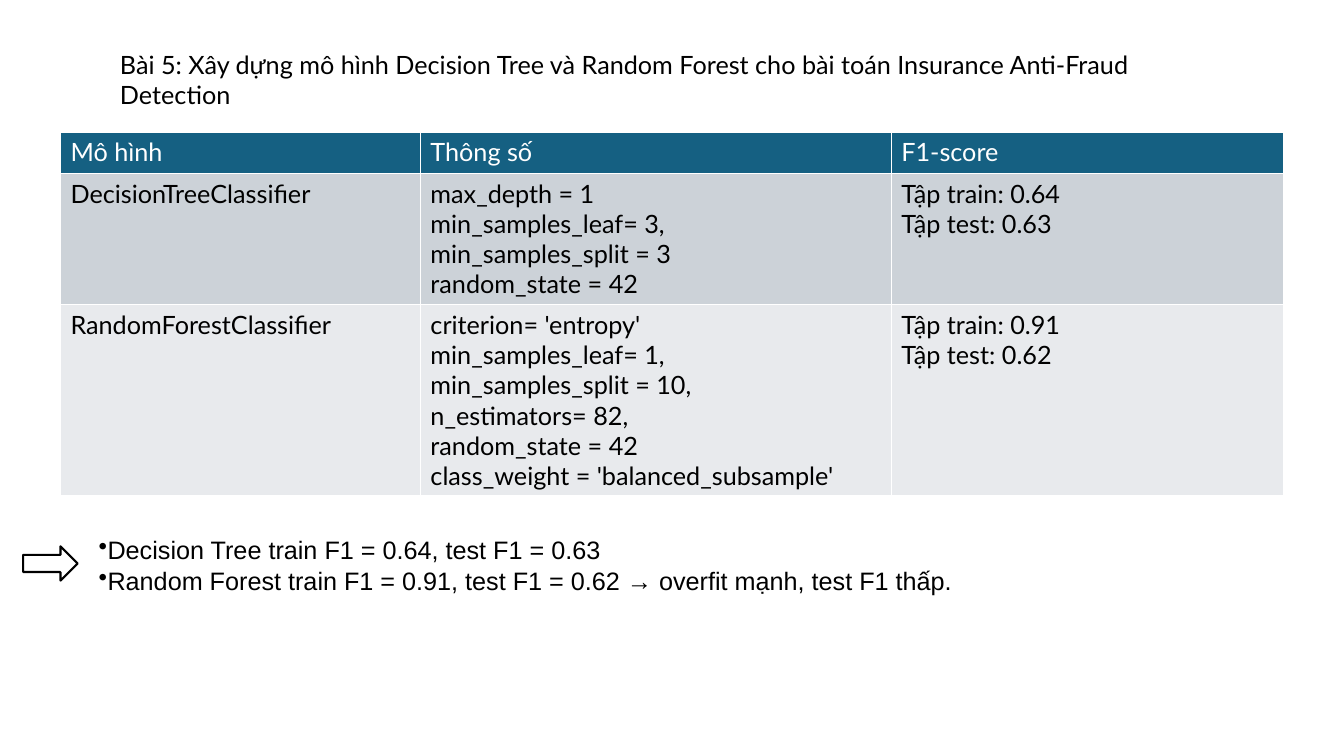
"""Build a slide comparing Decision Tree and Random Forest F1 scores."""
import pptx
import pptx.dml.color
import pptx.enum.shapes
import pptx.enum.text
import pptx.oxml.ns
import pptx.util
from lxml import etree

Inches = pptx.util.Inches
COLORS = {"text": "000000", "white": "FFFFFF", "header": "156082",
          "tree": "CCD2D8", "forest": "E8EAED"}


def rgb(name):
    return pptx.dml.color.RGBColor.from_string(COLORS[name])


def style_text(tf, font, color):
    for p in tf.paragraphs:
        p.alignment = pptx.enum.text.PP_ALIGN.LEFT
        p.font.name = font
        p.font.size = pptx.util.Pt(18)
        p.font.bold = False
        p.font.color.rgb = rgb(color)


prs = pptx.Presentation()
prs.slide_width, prs.slide_height = Inches(13.33), Inches(7.5)
s = prs.slides.add_slide(prs.slide_layouts[5])

title = s.shapes.title
title.left, title.top = Inches(1.09), Inches(0.44)
title.width, title.height = Inches(11.15), Inches(0.7)
tf = title.text_frame
tf.text = ("Bài 5: Xây dựng mô hình Decision Tree và Random Forest "
           "cho bài toán Insurance Anti-Fraud Detection")
tf.word_wrap = True
tf.auto_size = pptx.enum.text.MSO_AUTO_SIZE.NONE
tf.vertical_anchor = pptx.enum.text.MSO_ANCHOR.TOP
style_text(tf, "Lato", "text")

rows = [
    (0.41, "header", "white", ["Mô hình", "Thông số", "F1-score"]),
    (1.3, "tree", "text", [
        "DecisionTreeClassifier",
        "max_depth = 1\nmin_samples_leaf= 3,\nmin_samples_split = 3\n"
        "random_state = 42",
        "Tập train: 0.64\nTập test: 0.63"]),
    (1.9, "forest", "text", [
        "RandomForestClassifier",
        "criterion= 'entropy'\nmin_samples_leaf= 1,\nmin_samples_split = 10,\n"
        "n_estimators= 82,\nrandom_state = 42\n"
        "class_weight = 'balanced_subsample'",
        "Tập train: 0.91\nTập test: 0.62"]),
]
table = s.shapes.add_table(3, 3, Inches(0.6), Inches(1.31),
                           Inches(12.13), Inches(3.61)).table
for column, width in zip(table.columns, [3.57, 4.67, 3.89]):
    column.width = Inches(width)
for row, (height, fill, color, texts) in zip(table.rows, rows):
    row.height = Inches(height)
    for cell, text in zip(row.cells, texts):
        cell.text = text
        cell.fill.solid()
        cell.fill.fore_color.rgb = rgb(fill)
        style_text(cell.text_frame, "Lato", color)

findings = s.shapes.add_textbox(Inches(0.88), Inches(5.25), Inches(12.04), Inches(0.71))
tf = findings.text_frame
tf.word_wrap = True
tf.vertical_anchor = pptx.enum.text.MSO_ANCHOR.MIDDLE
tf.text = ("Decision Tree train F1 = 0.64, test F1 = 0.63\n"
           "Random Forest train F1 = 0.91, test F1 = 0.62 → overfit mạnh, test F1 thấp.")
style_text(tf, "Arial", "text")
for p in tf.paragraphs:
    pPr = p._p.get_or_add_pPr()
    pPr.set("marL", "0")
    pPr.set("indent", "0")
    bullet = etree.Element(pptx.oxml.ns.qn("a:buChar"), char="•")
    pPr.insert(0, bullet)

arrow = s.shapes.add_shape(pptx.enum.shapes.MSO_SHAPE.RIGHT_ARROW,
                           Inches(0.23), Inches(5.42), Inches(0.54), Inches(0.34))
arrow.shadow.inherit = False
arrow.fill.solid()
arrow.fill.fore_color.rgb = rgb("white")
arrow.line.color.rgb = rgb("text")
arrow.line.width = pptx.util.Pt(1.5)

prs.save("out.pptx")
